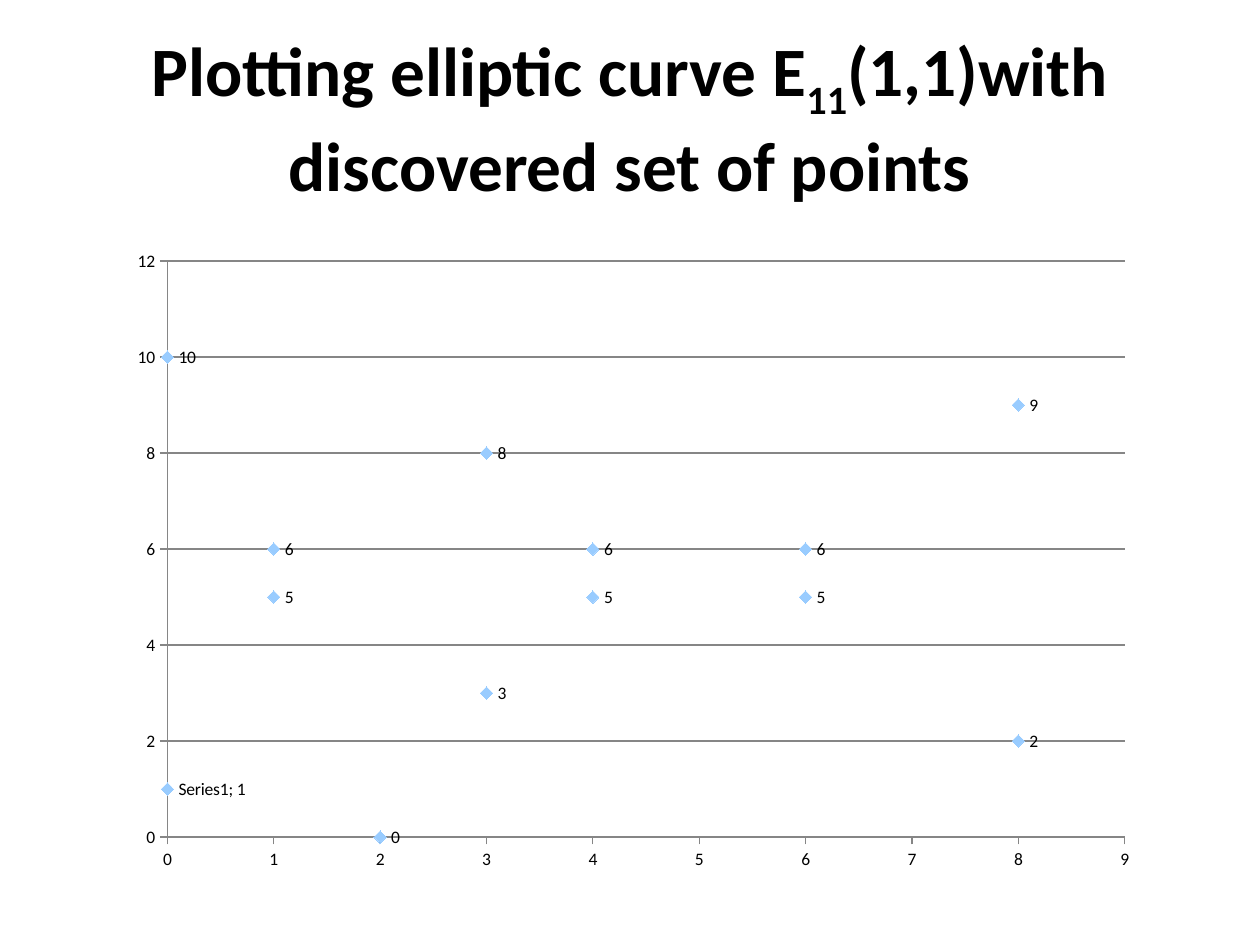
"""Build a slide plotting the points of an elliptic curve over a finite field."""
from dataclasses import dataclass
from typing import Any

import lxml.etree
import pptx
import pptx.chart.data
import pptx.dml.color
import pptx.enum.chart
import pptx.enum.text
import pptx.oxml.ns
import pptx.util

Inches = pptx.util.Inches
COLOURS = {"text": "000000", "grid": "868686", "marker": "99CCFF"}
FONT = "Calibri"


@dataclass
class TitlePart:
    text: str
    baseline: int = 0


@dataclass
class AxisRange:
    name: str
    maximum: int
    step: int
    gridlines: bool


TITLE = [
    TitlePart("Plotting elliptic curve E"),
    TitlePart("11", -25000),
    TitlePart("(1,1)with discovered set of points"),
]
CURVE = {0: (1, 10), 1: (5, 6), 2: (0,), 3: (3, 8), 4: (5, 6), 6: (5, 6), 8: (2, 9)}
AXES = [AxisRange("category_axis", 9, 1, False), AxisRange("value_axis", 12, 2, True)]
PLOT_LAYOUT = {"x": 0.05, "y": 0.03, "w": 0.93, "h": 0.9}


def colour(name: str) -> pptx.dml.color.RGBColor:
    """Return a named colour."""
    return pptx.dml.color.RGBColor.from_string(COLOURS[name])


def apply(target: Any, values: dict[str, Any]) -> None:
    """Set each attribute in values on the target."""
    for name, value in values.items():
        setattr(target, name, value)


def format_font(font: Any, size: float, bold: bool) -> None:
    """Set the common typeface and text colour."""
    apply(font, {"name": FONT, "size": pptx.util.Pt(size), "bold": bold})
    font.color.rgb = colour("text")


def format_line(line: Any) -> None:
    """Give an axis or gridline its thin grey stroke."""
    line.color.rgb = colour("grid")
    line.width = pptx.util.Pt(0.75)


def add_chart_element(parent: Any, tag: str, **attributes: str) -> Any:
    """Append an element of the chart namespace."""
    return lxml.etree.SubElement(parent, pptx.oxml.ns.qn(f"c:{tag}"), attributes)


def add_title(slide: Any) -> None:
    """Add the centred title with its subscript."""
    shape = slide.shapes.add_textbox(Inches(0.5), Inches(0.3), Inches(9), Inches(1.25))
    apply(shape.text_frame, {
        "word_wrap": True,
        "vertical_anchor": pptx.enum.text.MSO_ANCHOR.MIDDLE,
    })
    paragraph = shape.text_frame.paragraphs[0]
    paragraph.alignment = pptx.enum.text.PP_ALIGN.CENTER
    for part in TITLE:
        run = paragraph.add_run()
        run.text = part.text
        format_font(run.font, 39.6, True)
        if part.baseline:
            run._r.get_or_add_rPr().set("baseline", str(part.baseline))


def format_axis(axis: Any, limits: AxisRange) -> None:
    """Set the scale, ticks and lines of an axis."""
    apply(axis, {
        "minimum_scale": 0,
        "maximum_scale": limits.maximum,
        "major_unit": limits.step,
        "has_major_gridlines": limits.gridlines,
        "major_tick_mark": pptx.enum.chart.XL_TICK_MARK.OUTSIDE,
        "minor_tick_mark": pptx.enum.chart.XL_TICK_MARK.NONE,
    })
    format_line(axis.format.line)
    if limits.gridlines:
        format_line(axis.major_gridlines.format.line)


def format_series(series: Any) -> None:
    """Show diamond markers and name the series on its first label."""
    series.format.line.fill.background()
    apply(series.marker, {"style": pptx.enum.chart.XL_MARKER_STYLE.DIAMOND, "size": 7})
    series.marker.format.fill.solid()
    series.marker.format.fill.fore_color.rgb = colour("marker")
    series.marker.format.line.fill.background()
    for index in range(sum(map(len, CURVE.values()))):
        label = series.points[index].data_label
        label.position = pptx.enum.chart.XL_LABEL_POSITION.RIGHT
    first_label = series._element.find(".//" + pptx.oxml.ns.qn("c:dLbl"))
    first_label.find(pptx.oxml.ns.qn("c:showSerName")).set("val", "1")
    add_chart_element(first_label, "separator").text = "; "


def set_plot_layout(chart: Any) -> None:
    """Fix the inner plot area within the chart."""
    plot_area = chart.element.find(".//" + pptx.oxml.ns.qn("c:plotArea"))
    for old_layout in plot_area.findall(pptx.oxml.ns.qn("c:layout")):
        plot_area.remove(old_layout)
    layout = add_chart_element(plot_area, "layout")
    plot_area.insert(0, layout)
    manual = add_chart_element(layout, "manualLayout")
    add_chart_element(manual, "layoutTarget", val="inner")
    for side in "xy":
        add_chart_element(manual, f"{side}Mode", val="edge")
    for name, value in PLOT_LAYOUT.items():
        add_chart_element(manual, name, val=str(value))


def add_curve_chart(slide: Any) -> None:
    """Add the scatter chart of the curve points."""
    data = pptx.chart.data.XyChartData()
    points = data.add_series("Series1")
    for x, values in CURVE.items():
        for y in values:
            points.add_data_point(x, y)
    chart = slide.shapes.add_chart(
        pptx.enum.chart.XL_CHART_TYPE.XY_SCATTER,
        Inches(0.92), Inches(1.92), Inches(8.17), Inches(5.08), data,
    ).chart
    apply(chart, {"has_legend": False, "has_title": False})
    format_font(chart.font, 10, False)
    chart.plots[0].vary_by_categories = False
    for limits in AXES:
        format_axis(getattr(chart, limits.name), limits)
    format_series(chart.plots[0].series[0])
    set_plot_layout(chart)


def main() -> None:
    """Build and save the presentation."""
    presentation = pptx.Presentation()
    apply(presentation, {"slide_width": Inches(10), "slide_height": Inches(7.5)})
    slide = presentation.slides.add_slide(presentation.slide_layouts[6])
    add_title(slide)
    add_curve_chart(slide)
    presentation.save("out.pptx")


if __name__ == "__main__":
    main()
